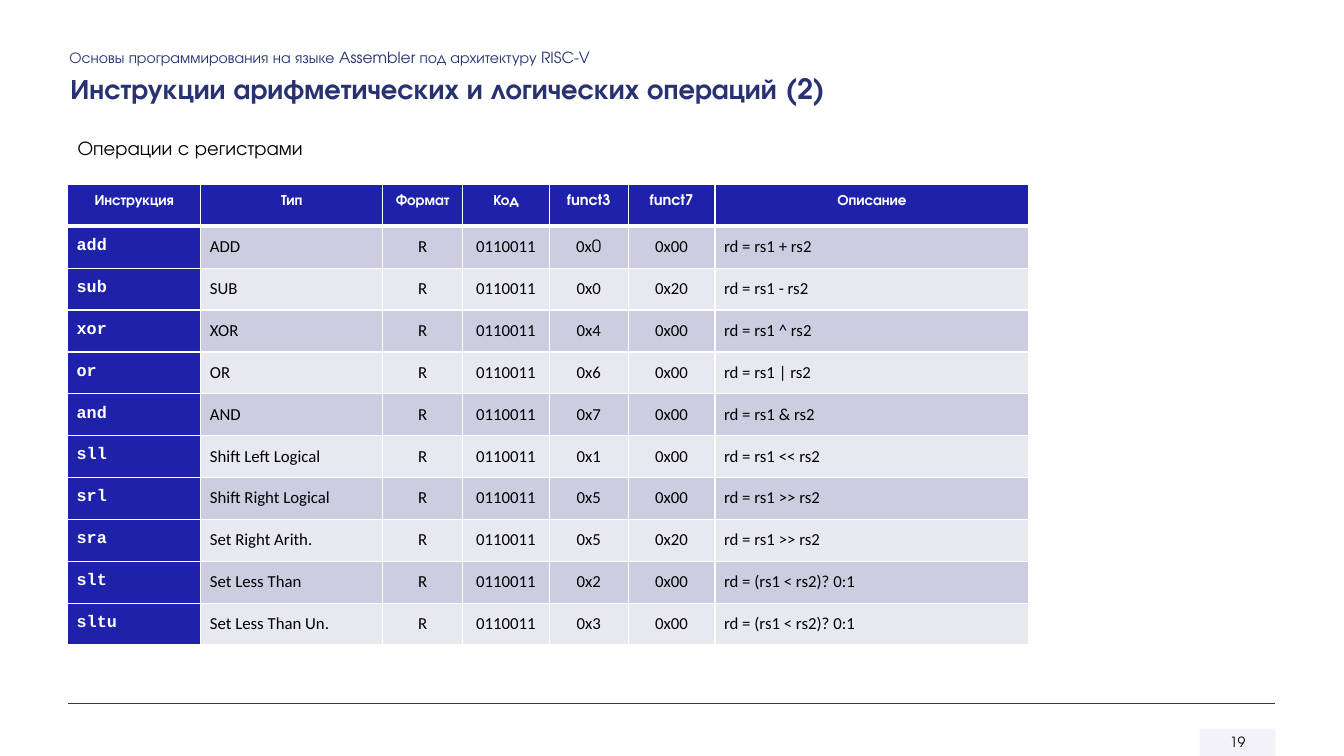
from lxml import etree
from pptx import Presentation
from pptx import util as u
from pptx.dml.color import RGBColor
from pptx.enum import shapes, text
from pptx.oxml.ns import qn

COLORS = {"navy": "283272", "blue": "1E22AA", "band_dark": "CDCDE2", "band_light": "E8E8F1",
          "badge": "F3F1F9", "white": "FFFFFF", "black": "000000"}
SANS, BODY, MONO = "TeX Gyre Adventor", "Calibri", "Courier New"
SLIDE_W, SLIDE_H = u.Inches(13.33), u.Inches(7.5)
COL, ROW = SLIDE_W / 100, SLIDE_H / 100
LEFT, CENTER = text.PP_ALIGN.LEFT, text.PP_ALIGN.CENTER

HEADINGS = ["Инструкция", "Тип", "Формат", "Код", "funct3", "funct7", "Описание"]
COLUMN_WEIGHTS = [1.32, 1.8, 0.79, 0.86, 0.78, 0.86, 3.11]
COLUMN_ALIGNS = [LEFT, LEFT, CENTER, CENTER, CENTER, CENTER, LEFT]
FORMAT, OPCODE = "R", "0110011"
INSTRUCTIONS = [
    ("add", "ADD", [("0x", BODY), ("0", SANS)], "0x00", "rd = rs1 + rs2"),
    ("sub", "SUB", "0x0", "0x20", "rd = rs1 - rs2"),
    ("xor", "XOR", "0x4", "0x00", "rd = rs1 ^ rs2"),
    ("or", "OR", "0x6", "0x00", "rd = rs1 | rs2"),
    ("and", "AND", "0x7", "0x00", "rd = rs1 & rs2"),
    ("sll", "Shift Left Logical", "0x1", "0x00", "rd = rs1 << rs2"),
    ("srl", "Shift Right Logical", "0x5", "0x00", "rd = rs1 >> rs2"),
    ("sra", "Set Right Arith.", "0x5", "0x20", "rd = rs1 >> rs2"),
    ("slt", "Set Less Than", "0x2", "0x00", "rd = (rs1 < rs2)? 0:1"),
    ("sltu", "Set Less Than Un.", "0x3", "0x00", "rd = (rs1 < rs2)? 0:1"),
]


def rgb(color):
    return RGBColor.from_string(COLORS[color])


def emu(left, top, width, height):
    return [round(n) for n in (left * COL, top * ROW, width * COL, height * ROW)]


def write(frame, content, size=12, font=BODY, color="black", bold=False, align=LEFT,
          spacing=None, after=None):
    paragraph = frame.paragraphs[0]
    paragraph.alignment = align
    if spacing:
        paragraph.line_spacing = spacing
    if after:
        paragraph.space_after = u.Pt(after)
    pieces = [(content, font)] if isinstance(content, str) else content
    for words, face in pieces:
        run = paragraph.add_run()
        run.text = words
        run.font.size = u.Pt(size)
        run.font.name = face
        run.font.bold = bold
        run.font.color.rgb = rgb(color)


def add_label(slide, box, content, wrap=True, **style):
    frame = slide.shapes.add_textbox(*emu(*box)).text_frame
    frame.word_wrap = wrap
    write(frame, content, font=SANS, **style)


def set_borders(cell, **widths):
    properties = cell._tc.get_or_add_tcPr()
    for side in "LRTB":
        line = etree.SubElement(properties, qn(f"a:ln{side}"), w=str(u.Pt(widths.get(side, 1))))
        fill = etree.SubElement(line, qn("a:solidFill"))
        etree.SubElement(fill, qn("a:srgbClr"), val=COLORS["white"])


def fill_cell(cell, content, fill, borders, **style):
    cell.margin_left = cell.margin_right = cell.margin_top = cell.margin_bottom = u.Inches(0.09)
    set_borders(cell, **borders)
    cell.fill.solid()
    cell.fill.fore_color.rgb = rgb(fill)
    write(cell.text_frame, content, spacing=1.07, after=8, **style)


def draw_footer(slide, box, number):
    left, top, width, height = box
    x, y, w, _ = emu(*box)
    rule = slide.shapes.add_connector(shapes.MSO_CONNECTOR.STRAIGHT, x, y, x + w, y)
    rule.line.color.rgb = rgb("navy")
    rule.line.width = u.Pt(1)
    etree.SubElement(rule._element.spPr, qn("a:effectLst"))

    badge_w, badge_h = 5.63, 3.6
    badge = slide.shapes.add_shape(
        shapes.MSO_SHAPE.RECTANGLE,
        *emu(left + width - badge_w, top + height - badge_h, badge_w, badge_h))
    badge.shadow.inherit = False
    badge.fill.solid()
    badge.fill.fore_color.rgb = rgb("badge")
    shade = badge._element.spPr.find(qn("a:solidFill"))[0]
    etree.SubElement(shade, qn("a:alpha"), val="90000")
    badge.line.fill.background()
    badge.text_frame.vertical_anchor = text.MSO_ANCHOR.MIDDLE
    write(badge.text_frame, number, size=10, font=SANS, align=CENTER)


def draw_header(slide, box, course, title):
    left, top, width, height = box
    add_label(slide, (left, top, width, height * 0.43), course, size=11, color="navy")
    add_label(slide, (left + 0.07, top + height * 0.34, width * 0.78, height * 0.65), title,
              wrap=False, size=20, color="navy", bold=True)


def draw_instruction_table(slide, box):
    x, y, w, h = emu(*box)
    row_count = len(INSTRUCTIONS) + 1
    frame = slide.shapes.add_table(row_count, len(HEADINGS), x, y, w, h)
    table = frame.table
    for column, weight in zip(table.columns, COLUMN_WEIGHTS):
        column.width = round(w * weight / sum(COLUMN_WEIGHTS))
    for row in table.rows:
        row.height = round(h / row_count)

    for c, heading in enumerate(HEADINGS):
        fill_cell(table.cell(0, c), heading, "blue", {"B": 3}, size=10.5, font=SANS,
                  color="white", bold=True, align=CENTER)
    for r, (mnemonic, kind, funct3, funct7, meaning) in enumerate(INSTRUCTIONS, 1):
        borders = {"T": 3} if r == 1 else {}
        band = "band_dark" if r % 2 else "band_light"
        fill_cell(table.cell(r, 0), mnemonic, "blue", borders, font=MONO, color="white", bold=True)
        values = [kind, FORMAT, OPCODE, funct3, funct7, meaning]
        for c, value in enumerate(values, 1):
            fill_cell(table.cell(r, c), value, band, borders, align=COLUMN_ALIGNS[c])


def draw_body(slide, box, intro):
    left, top, width, height = box
    draw_instruction_table(slide, (left, top + 7.07, width * 0.82, height - 7.07))
    add_label(slide, (left, top, width, 4.53), intro, size=14)


def main():
    deck = Presentation()
    deck.slide_width, deck.slide_height = SLIDE_W, SLIDE_H
    slide = deck.slides.add_slide(deck.slide_layouts[6])
    draw_footer(slide, (5.03, 93.07, 89.87, 6.93), "19")
    draw_header(slide, (4.43, 5.73, 76.82, 9),
                "Основы программирования на языке Assembler под архитектуру RISC-V",
                "Инструкции арифметических и логических операций (2)")
    draw_body(slide, (5.03, 17.33, 87.25, 68), "Операции с регистрами")
    deck.save("out.pptx")


if __name__ == "__main__":
    main()
